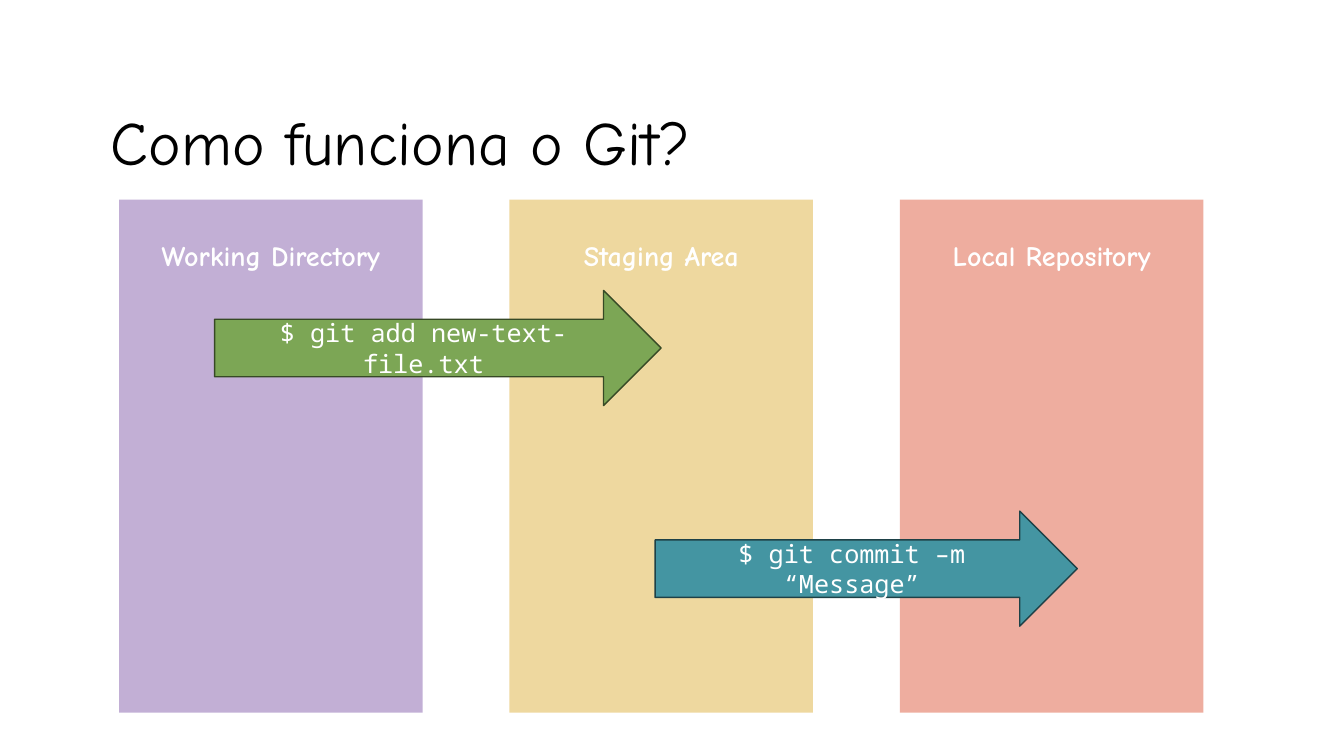
from pptx import Presentation
from pptx.dml.color import RGBColor
from pptx.enum.shapes import MSO_SHAPE
from pptx.enum.text import MSO_ANCHOR, MSO_AUTO_SIZE, PP_ALIGN
from pptx.oxml.ns import qn
from pptx.util import Cm, Pt
from lxml import etree

RECTANGLE = MSO_SHAPE.RECTANGLE
RIGHT_ARROW = MSO_SHAPE.RIGHT_ARROW
TOP, MIDDLE = MSO_ANCHOR.TOP, MSO_ANCHOR.MIDDLE
LEFT, CENTER = PP_ALIGN.LEFT, PP_ALIGN.CENTER
NO_AUTOFIT = MSO_AUTO_SIZE.NONE

COLORS = {
    "black": "000000",
    "white": "FFFFFF",
    "purple": "8760AD",
    "yellow": "DFB240",
    "red": "DF5D40",
    "green": "7CA655",
    "dark green": "364925",
    "teal": "4495A2",
    "dark teal": "1E4147",
}
TEXT_FONT = "Comic Neue"
CODE_FONT = "Noto Sans Mono"

# Column grid and arrow height, in centimetres
COLUMN_LEFT, COLUMN_TOP, COLUMN_PITCH = 3, 5.03, 9.84
COLUMN_WIDTH, COLUMN_HEIGHT = 7.65, 12.93
ARROW_HEIGHT = 2.9


def color(name):
    return RGBColor.from_string(COLORS[name])


class GitSlide:
    def __init__(self, deck):
        self.page = deck.slides.add_slide(deck.slide_layouts[5])

    def set_text(self, shape, text, font, size, ink, align, anchor, spacing=1.0, bold=False):
        frame = shape.text_frame
        frame.word_wrap = True
        frame.auto_size = NO_AUTOFIT
        frame.vertical_anchor = anchor
        para = frame.paragraphs[0]
        para.text = text
        para.alignment = align
        para.line_spacing = spacing
        para.font.name = font
        para.font.size = Pt(size)
        para.font.bold = bold
        para.font.color.rgb = color(ink)

    def shape(self, kind, left, top, width, height, fill):
        shape = self.page.shapes.add_shape(kind, Cm(left), Cm(top), Cm(width), Cm(height))
        shape.shadow.inherit = False
        shape.fill.solid()
        shape.fill.fore_color.rgb = color(fill)
        return shape

    def title(self, text):
        title = self.page.shapes.title
        title.left, title.top = Cm(2.54), Cm(2.64)
        title.width, title.height = Cm(27.94), Cm(2.03)
        self.set_text(title, text, TEXT_FONT, 44, "black", LEFT, MIDDLE, 0.9)

    def column(self, index, text, fill):
        left = COLUMN_LEFT + index * COLUMN_PITCH
        column = self.shape(RECTANGLE, left, COLUMN_TOP, COLUMN_WIDTH, COLUMN_HEIGHT, fill)
        column.line.fill.background()
        # Half-transparent fill
        solid_fill = column.element.spPr.find(qn("a:solidFill"))
        etree.SubElement(solid_fill[0], qn("a:alpha"), val="50000")
        self.set_text(column, text, TEXT_FONT, 20, "white", CENTER, TOP, 2.0, True)

    def arrow(self, left, top, width, command, fill):
        arrow = self.shape(RIGHT_ARROW, left, top, width, ARROW_HEIGHT, fill)
        arrow.line.color.rgb = color("dark " + fill)
        arrow.line.width = Pt(1)
        self.set_text(arrow, command, CODE_FONT, 18, "white", CENTER, MIDDLE)


def main():
    deck = Presentation()
    deck.slide_width, deck.slide_height = Cm(33.87), Cm(19.05)
    slide = GitSlide(deck)
    slide.title("Como funciona o Git?")

    # Areas a file passes through
    areas = [
        ("Working Directory", "purple"),
        ("Staging Area", "yellow"),
        ("Local Repository", "red"),
    ]
    for index, (area, fill) in enumerate(areas):
        slide.column(index, area, fill)

    # Commands that move the file between areas
    slide.arrow(16.51, 12.88, 10.64, "$ git commit –m “Message”", "teal")
    slide.arrow(5.41, 7.32, 11.25, "$ git add new-text-file.txt", "green")

    deck.save("out.pptx")


if __name__ == "__main__":
    main()
